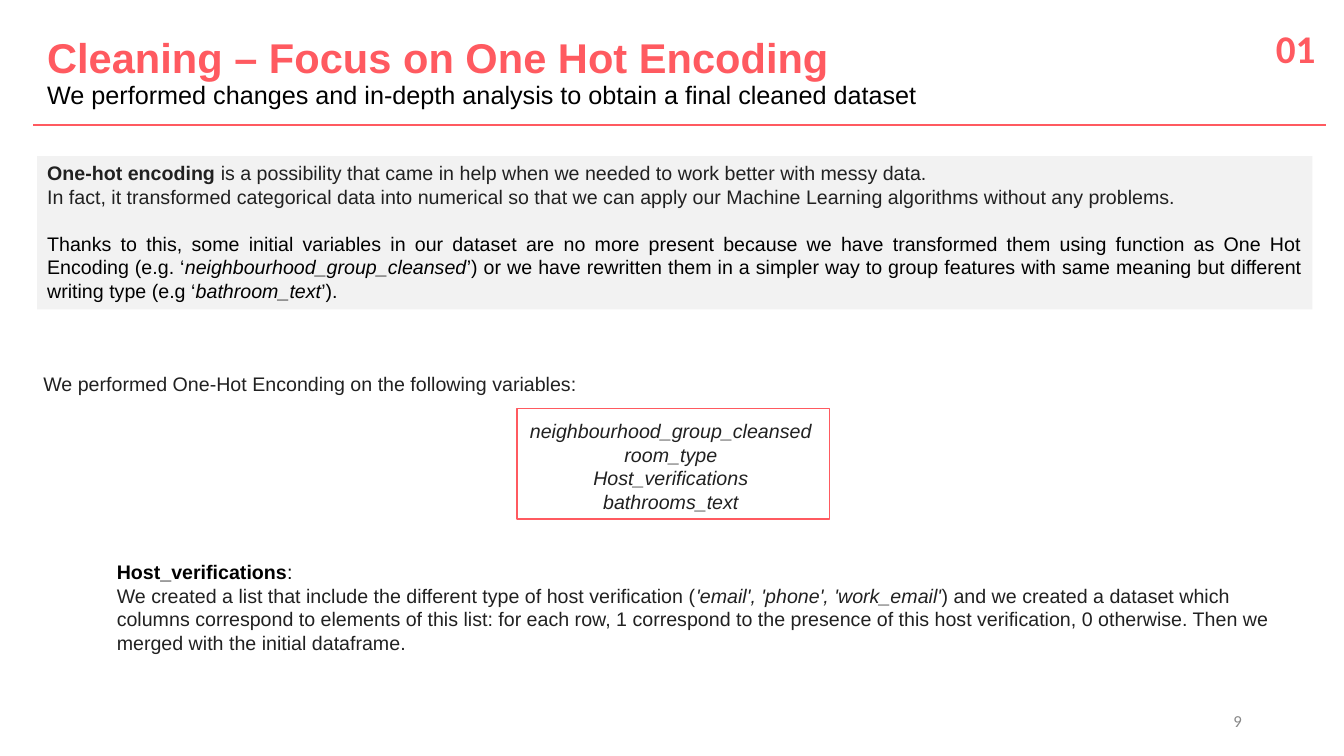
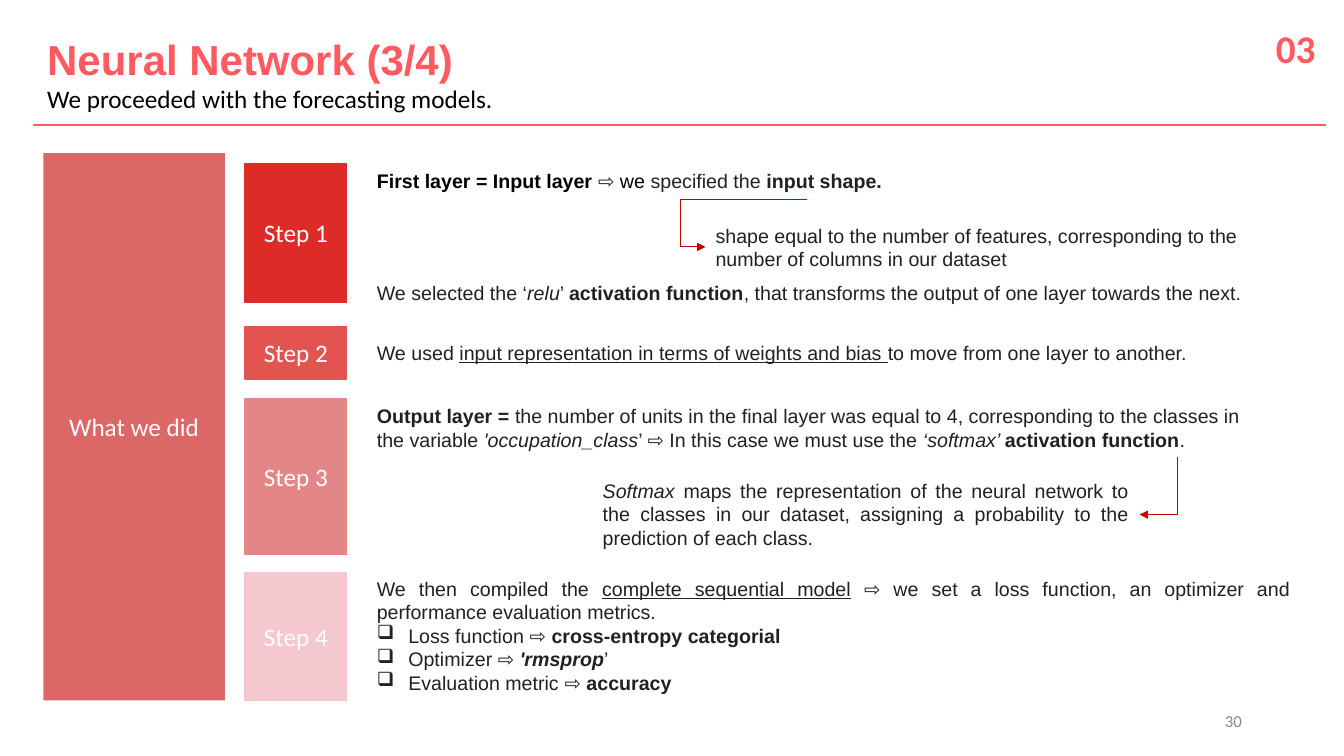
import pptx
import pptx.util
import pptx.dml.color
import pptx.enum.shapes
import pptx.enum.text
import pptx.oxml
import pptx.oxml.ns
from lxml import etree

Pt = pptx.util.Pt
RGBColor = pptx.dml.color.RGBColor
Align = pptx.enum.text.PP_ALIGN
Anchor = pptx.enum.text.MSO_ANCHOR
Connector = pptx.enum.shapes.MSO_CONNECTOR
qn = pptx.oxml.ns.qn

CORAL = RGBColor(0xFF, 0x5A, 0x60)
BLACK = RGBColor(0x00, 0x00, 0x00)
WHITE = RGBColor(0xFF, 0xFF, 0xFF)
INK = RGBColor(0x21, 0x21, 0x21)
GREY = RGBColor(0x88, 0x88, 0x88)
PANEL = RGBColor(0xF2, 0xF2, 0xF2)
ARROW = RGBColor(0xC0, 0x00, 0x00)
ROSE = RGBColor(0xDB, 0x67, 0x67)
STEP_COLORS = (
    RGBColor(0xDD, 0x2B, 0x27),
    RGBColor(0xE3, 0x53, 0x4F),
    RGBColor(0xE2, 0x86, 0x86),
    RGBColor(0xF5, 0xC7, 0xCF),
)

BLANK_LINE = 16.8
BODY_LEFT = 262.1
BODY_WIDTH = 666.7
STEP_ROWS = ((116.6, 99.4), (233.3, 37.4), (285.1, 110.9), (409, 91.4))


def write_paragraph(paragraph, runs, size=14, font="Arial", color=INK, bold=False,
                    align=Align.LEFT, line_spacing=None, space_before=None, bullet=None):
    """Runs are strings or (text, flags) pairs: b bold, i italic, u underlined, k black."""
    paragraph.alignment = align
    if line_spacing:
        paragraph.line_spacing = line_spacing
    if space_before:
        paragraph.space_before = Pt(space_before)
    if bullet:
        add_bullet(paragraph, bullet, color)
    for item in [runs] if isinstance(runs, str) else runs:
        text, flags = (item, "") if isinstance(item, str) else item
        run = paragraph.add_run()
        run.text = text
        run.font.name = font
        run.font.size = Pt(size)
        run.font.bold = bold or "b" in flags
        run.font.italic = "i" in flags
        run.font.underline = "u" in flags
        run.font.color.rgb = BLACK if "k" in flags else color


def add_bullet(paragraph, character, color, indent=22.5):
    properties = paragraph._p.get_or_add_pPr()
    properties.set("marL", str(Pt(indent)))
    properties.set("indent", str(-Pt(indent)))
    bullet_color = etree.SubElement(properties, qn("a:buClr"))
    etree.SubElement(bullet_color, qn("a:srgbClr")).set("val", str(color))
    etree.SubElement(properties, qn("a:buChar")).set("char", character)


def fill_text(shape, paragraphs, anchor=Anchor.TOP, **style):
    """Paragraphs are run lists, or (run list, own style) pairs."""
    frame = shape.text_frame
    frame.word_wrap = True
    frame.vertical_anchor = anchor
    for index, item in enumerate(paragraphs):
        runs, own_style = item if isinstance(item, tuple) else (item, {})
        paragraph = frame.add_paragraph() if index else frame.paragraphs[0]
        write_paragraph(paragraph, runs, **{**style, **own_style})


def add_text(slide, box, paragraphs, **style):
    shape = slide.shapes.add_textbox(*map(Pt, box))
    fill_text(shape, paragraphs, **style)


def add_box(slide, box, fill=None, line=None):
    shape = slide.shapes.add_shape(
        pptx.enum.shapes.MSO_SHAPE.RECTANGLE, *map(Pt, box))
    shape.shadow.inherit = False
    if fill is None:
        shape.fill.background()
    else:
        shape.fill.solid()
        shape.fill.fore_color.rgb = fill
    if line is None:
        shape.line.fill.background()
    else:
        shape.line.color.rgb = line
        shape.line.width = Pt(1)
    return shape


def add_label(slide, box, text, fill, line=None):
    fill_text(add_box(slide, box, fill, line), [text], anchor=Anchor.MIDDLE,
              size=18, font="Calibri", color=WHITE, align=Align.CENTER)


def add_line(slide, start, end, color, width, kind=Connector.STRAIGHT):
    connector = slide.shapes.add_connector(kind, *map(Pt, start + end))
    connector.line.color.rgb = color
    connector.line.width = Pt(width)
    etree.SubElement(connector._element.spPr, qn("a:effectLst"))
    return connector


def add_elbow_arrow(slide, start, end, preset, adjust=None, rotation=0):
    connector = add_line(slide, start, end, ARROW, 0.75, Connector.ELBOW)
    properties = connector._element.spPr
    geometry = properties.find(qn("a:prstGeom"))
    geometry.set("prst", preset)
    if adjust:
        guide = etree.SubElement(geometry.find(qn("a:avLst")), qn("a:gd"))
        guide.set("name", "adj1")
        guide.set("fmla", f"val {adjust}")
    if rotation:
        properties.find(qn("a:xfrm")).set("rot", str(rotation * 60000))
    outline = properties.find(qn("a:ln"))
    etree.SubElement(outline, qn("a:tailEnd")).set("type", "triangle")


def add_content_slide(presentation, title, subtitle, section, page,
                      title_size=30, subtitle_font="Arial", line_spacing=None):
    slide = presentation.slides.add_slide(presentation.slide_layouts[6])
    add_text(slide, (26.6, 27.4, 910.8, 50.4), [
        ([title], {"size": title_size, "color": CORAL, "bold": True}),
        ([subtitle], {"size": 18, "color": BLACK, "font": subtitle_font}),
    ], anchor=Anchor.MIDDLE, line_spacing=line_spacing)
    add_line(slide, (23.8, 89.3), (947.5, 89.3), CORAL, 1.5)
    add_text(slide, (904.3, 13.7, 46, 41), [section],
             size=28, font="Calibri", color=CORAL, bold=True)
    add_text(slide, (678.2, 500.4, 216, 28.8), [page], anchor=Anchor.MIDDLE,
             size=12, font="Calibri", color=GREY, align=Align.RIGHT)
    return slide


def build_encoding_slide(presentation):
    slide = add_content_slide(
        presentation, "Cleaning – Focus on One Hot Encoding",
        "We performed changes and in-depth analysis to obtain a final cleaned dataset",
        "01", "9", title_size=29.7, line_spacing=0.9)

    panel = add_box(slide, (26.6, 111.6, 910.8, 109.4), PANEL)
    fill_text(panel, [
        [("One-hot encoding ", "b"),
         "is a possibility that came in help when we needed to work better with messy data."],
        "In fact, it transformed categorical data into numerical so that we can apply our "
        "Machine Learning algorithms without any problems.",
        (["Thanks to this, some initial variables in our dataset are no more present because "
          "we have transformed them using function as One Hot Encoding (e.g. ‘",
          ("neighbourhood_group_cleansed", "i"),
          "’) or we have rewritten them in a simpler way to group features with same meaning "
          "but different writing type (e.g ‘",
          ("bathroom_text", "i"), "’)."],
         {"space_before": BLANK_LINE, "color": BLACK}),
    ], align=Align.JUSTIFY)

    variables = ("neighbourhood_group_cleansed", "room_type",
                 "Host_verifications", "bathrooms_text")
    add_text(slide, (23.8, 262.1, 910.8, 126), [
        "We performed One-Hot Enconding on the following variables:",
        *(([(name, "i")], {"align": Align.CENTER,
                           "space_before": 0 if index else BLANK_LINE})
          for index, name in enumerate(variables)),
    ])
    add_box(slide, (369.4, 291.6, 223.2, 79.2), line=CORAL)

    add_text(slide, (76.3, 396.7, 843.1, 74.9), [
        [("Host_verifications", "bk"), (":", "k")],
        ["We created a list that include the different type of host verification (",
         ("'email', 'phone', 'work_email'", "i"),
         ") and we created a dataset which columns correspond to elements of this list: "
         "for each row, 1 correspond to the presence of this host verification, 0 otherwise. "
         "Then we merged with the initial dataframe."],
    ])


def build_network_slide(presentation):
    slide = add_content_slide(
        presentation, "Neural Network (3/4)", "We proceeded with the forecasting models.",
        "03", "30", subtitle_font="Calibri")

    add_label(slide, (31, 109.4, 129.6, 391), "What we did", ROSE)
    for number, ((top, height), color) in enumerate(zip(STEP_ROWS, STEP_COLORS), 1):
        add_label(slide, (175, top, 72.7, height), f"Step {number}", color, color)

    add_text(slide, (BODY_LEFT, 117.4, 390.2, 24.5), [
        [("First layer = Input layer ", "bk"), "⇨ ", ("we ", "k"),
         "specified the ", ("input shape.", "b")]])
    add_text(slide, (504, 156.2, 390.2, 41), [
        "shape equal to the number of features, corresponding to the number of columns "
        "in our dataset"])
    add_elbow_arrow(slide, (576.7, 142.6), (504, 176.4), "bentConnector3", adjust=124700)
    add_text(slide, (BODY_LEFT, 197.3, BODY_WIDTH, 24.5), [
        ["We selected the ‘", ("relu", "i"), "’ ", ("activation function", "b"),
         ", that transforms the output of one layer towards the next."]])

    add_text(slide, (BODY_LEFT, 239.8, BODY_WIDTH, 24.5), [
        ["We used ", ("input representation in terms of weights and bias ", "u"),
         "to move from one layer to another."]], align=Align.JUSTIFY)

    add_text(slide, (BODY_LEFT, 285.1, 632.2, 41), [
        [("Output layer = ", "b"),
         "the number of units in the final layer was equal to 4, corresponding to the "
         "classes in the variable ", ("'occupation_class", "i"),
         "’ ⇨ In this case we must use the ", ("‘softmax’ ", "i"),
         ("activation function", "b"), "."]])
    add_text(slide, (423.4, 338.4, 390.2, 58.3), [
        [("Softmax", "i"),
         " maps the representation of the neural network to the classes in our dataset, "
         "assigning a probability to the prediction of each class."]], align=Align.JUSTIFY)
    add_elbow_arrow(slide, (807.1, 333.4), (848.2, 360.7), "bentConnector2", rotation=90)

    bullet = {"bullet": "❑"}
    add_text(slide, (BODY_LEFT, 408.2, BODY_WIDTH, 92.2), [
        ["We then compiled the ", ("complete sequential model", "u"),
         " ⇨ we set a loss function, an optimizer and performance evaluation metrics."],
        (["Loss function ⇨ ", ("cross-entropy categorial", "b")], bullet),
        (["Optimizer ⇨ ", ("'rmsprop", "bi"), "’"], bullet),
        (["Evaluation metric ⇨", (" accuracy", "b")], bullet),
    ], align=Align.JUSTIFY)


def main():
    presentation = pptx.Presentation()
    presentation.slide_width = Pt(960)
    presentation.slide_height = Pt(540)
    build_encoding_slide(presentation)
    build_network_slide(presentation)
    presentation.save("out.pptx")


if __name__ == "__main__":
    main()
